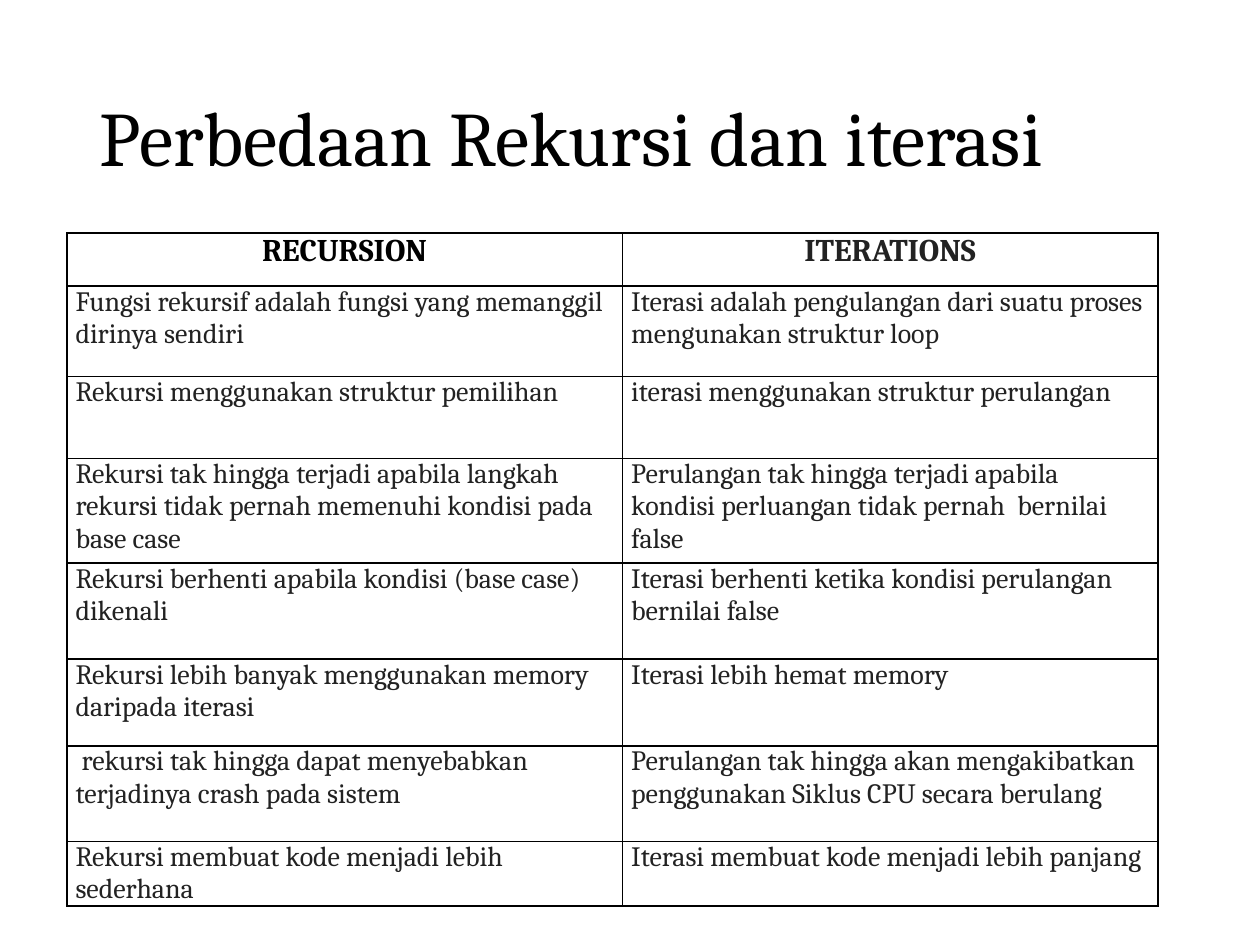
import pptx
import pptx.dml.color
import pptx.enum.text
import pptx.oxml
import pptx.oxml.ns
import pptx.util

COLORS = {"heading": "000000", "text": "222222", "border": "000000", "cell": "FFFFFF"}
FONT = "Cambria"
SLIDE_SIZE = (10, 7.5)
TITLE_BOX = (0.69, 0.4, 8.62, 1.45)
TABLE_ORIGIN = (0.53, 1.85)
COLUMN_WIDTHS = [4.41, 4.25]
ROW_HEIGHTS = [0.42, 0.72, 0.65, 0.83, 0.76, 0.69, 0.76, 0.51]
CELL_MARGINS = {"margin_left": 0.07, "margin_right": 0.07, "margin_top": 0, "margin_bottom": 0}
ALIGN = pptx.enum.text.PP_ALIGN

ROWS = [
    ("RECURSION", "ITERATIONS"),
    ("Fungsi rekursif adalah fungsi yang memanggil dirinya sendiri",
     "Iterasi adalah pengulangan dari suatu proses mengunakan struktur loop"),
    ("Rekursi menggunakan struktur pemilihan",
     "iterasi menggunakan struktur perulangan"),
    ("Rekursi tak hingga terjadi apabila langkah rekursi tidak pernah memenuhi kondisi pada base case",
     "Perulangan tak hingga terjadi apabila kondisi perluangan tidak pernah  bernilai false"),
    ("Rekursi berhenti apabila kondisi (base case) dikenali",
     "Iterasi berhenti ketika kondisi perulangan bernilai false"),
    ("Rekursi lebih banyak menggunakan memory daripada iterasi",
     "Iterasi lebih hemat memory"),
    (" rekursi tak hingga dapat menyebabkan terjadinya crash pada sistem",
     "Perulangan tak hingga akan mengakibatkan penggunakan Siklus CPU secara berulang"),
    ("Rekursi membuat kode menjadi lebih sederhana",
     "Iterasi membuat kode menjadi lebih panjang"),
]


def set_attributes(target, values):
    for name, value in values.items():
        setattr(target, name, value)


def inches(lengths):
    return [pptx.util.Inches(length) for length in lengths]


def write_text(frame, text, size, color, align, bold=False):
    frame.text = text
    paragraph = frame.paragraphs[0]
    paragraph.alignment = align
    font = paragraph.runs[0].font
    set_attributes(font, {"name": FONT, "size": pptx.util.Pt(size), "bold": bold})
    font.color.rgb = pptx.dml.color.RGBColor.from_string(COLORS[color])
    return paragraph


def add_borders(cell):
    """Draw a 1 pt line on each side; the lines must precede the cell fill."""
    properties = cell._tc.get_or_add_tcPr()
    for position, side in enumerate(("lnL", "lnR", "lnT", "lnB")):
        properties.insert(position, pptx.oxml.parse_xml(
            f'<a:{side} {pptx.oxml.ns.nsdecls("a")} w="{pptx.util.Pt(1)}"><a:solidFill>'
            f'<a:srgbClr val="{COLORS["border"]}"/></a:solidFill></a:{side}>'))


def add_title(slide, text):
    title = slide.shapes.title
    set_attributes(title, dict(zip(("left", "top", "width", "height"), inches(TITLE_BOX))))
    frame = title.text_frame
    set_attributes(frame, {"word_wrap": True,
                           "auto_size": pptx.enum.text.MSO_AUTO_SIZE.NONE,
                           "vertical_anchor": pptx.enum.text.MSO_ANCHOR.MIDDLE})
    write_text(frame, text, 44, "heading", ALIGN.LEFT).line_spacing = 0.9


def fill_cell(cell, text, is_header, color):
    set_attributes(cell, {name: pptx.util.Inches(value) for name, value in CELL_MARGINS.items()})
    cell.fill.solid()
    cell.fill.fore_color.rgb = pptx.dml.color.RGBColor.from_string(COLORS["cell"])
    add_borders(cell)
    write_text(cell.text_frame, text, 18 if is_header else 16, color,
               ALIGN.CENTER if is_header else ALIGN.LEFT, is_header)


def add_comparison_table(slide):
    box = inches((*TABLE_ORIGIN, sum(COLUMN_WIDTHS), sum(ROW_HEIGHTS)))
    table = slide.shapes.add_table(len(ROWS), len(COLUMN_WIDTHS), *box).table
    for column, width in zip(table.columns, inches(COLUMN_WIDTHS)):
        column.width = width
    for row, height in zip(table.rows, inches(ROW_HEIGHTS)):
        row.height = height
    for row_index, texts in enumerate(ROWS):
        for column_index, text in enumerate(texts):
            color = "heading" if row_index == column_index == 0 else "text"
            fill_cell(table.cell(row_index, column_index), text, row_index == 0, color)


def main():
    presentation = pptx.Presentation()
    presentation.slide_width, presentation.slide_height = inches(SLIDE_SIZE)
    slide = presentation.slides.add_slide(presentation.slide_layouts.get_by_name("Title Only"))
    add_title(slide, "Perbedaan Rekursi dan iterasi")
    add_comparison_table(slide)
    presentation.save("out.pptx")


if __name__ == "__main__":
    main()
